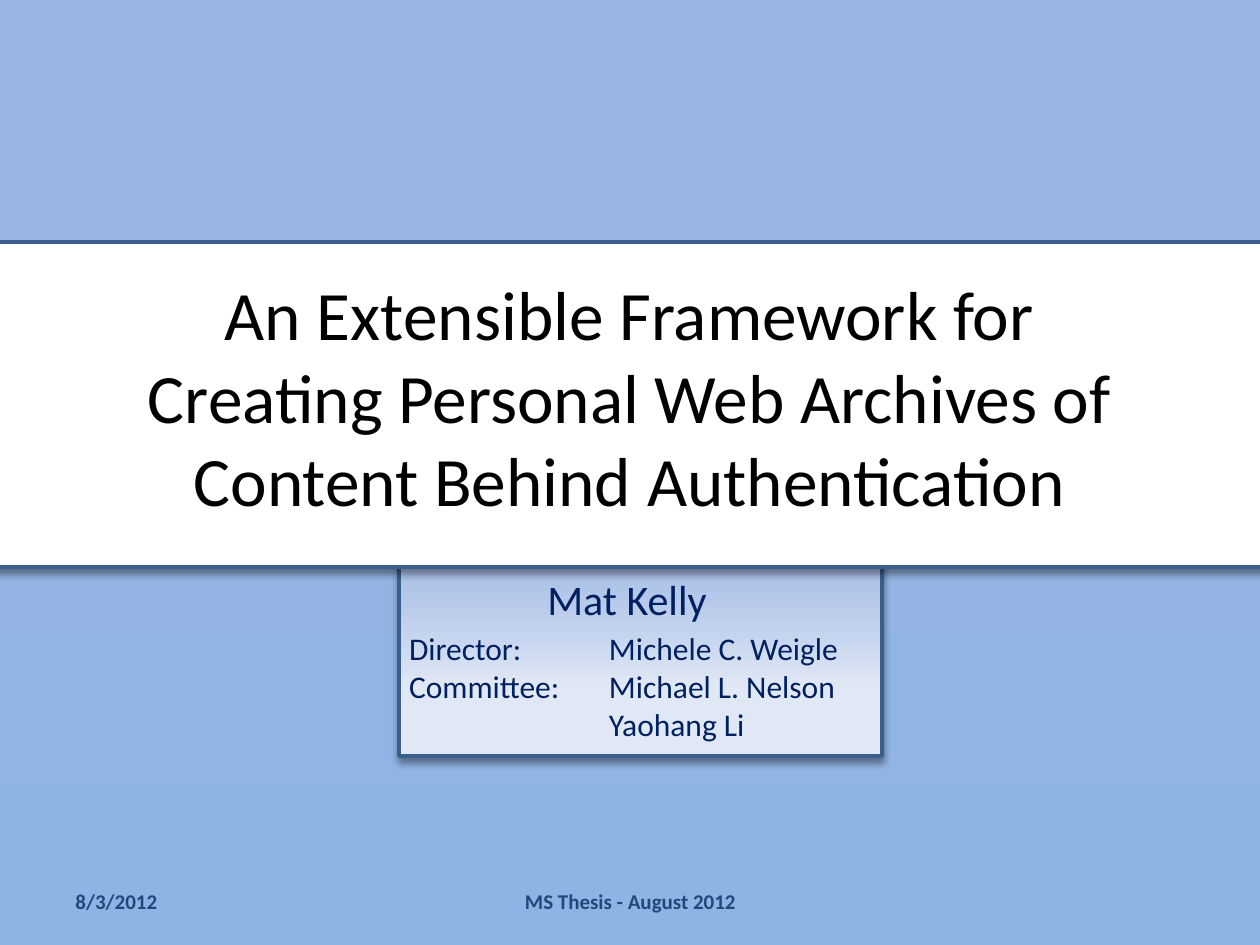
from copy import deepcopy

from lxml import etree
from pptx import Presentation
from pptx.dml.color import RGBColor
from pptx.enum.shapes import MSO_SHAPE
from pptx.enum.text import MSO_ANCHOR, PP_ALIGN
from pptx.oxml.ns import qn
from pptx.util import Pt

RECTANGLE = MSO_SHAPE.RECTANGLE
TOP, MIDDLE = MSO_ANCHOR.TOP, MSO_ANCHOR.MIDDLE
LEFT, CENTER = PP_ALIGN.LEFT, PP_ALIGN.CENTER
EMU_PER_PX = 914400 / 126
FONT = "Calibri"
NAVY, BORDER, FOOTER = "002060", "3A5F8C", "1F497D"
NO_STYLE = "{2D5ABB26-0587-4C30-8999-92F81FD0307C}"
BACKDROP = [(0, "9AB5E4"), (1, "8EB4E3")]
CARD = [(0, "9AB5E4"), (0.42, "C2D1ED"), (0.69, "E1E8F5")]
TITLE = "An Extensible Framework for Creating Personal Web Archives of Content Behind Authentication"
PEOPLE = [
    ("Director:", "Michele C. Weigle"),
    ("Committee:", "Michael L. Nelson"),
    ("", "Yaohang Li"),
]


def px(length):
    """Turn px into EMU."""
    return round(length * EMU_PER_PX)


def rgb(color):
    """Turn a hex string into a colour."""
    return RGBColor.from_string(color)


def paint_gradient(element, fill, stops):
    """Fill from top to bottom with the given colour stops."""
    fill.gradient()
    fill.gradient_angle = 270
    stop_list = element.find(".//" + qn("a:gsLst"))
    while len(stop_list) < len(stops):
        stop_list.append(deepcopy(stop_list[-1]))
    for stop, (position, color) in zip(fill.gradient_stops, stops):
        stop.position = position
        stop.color.rgb = rgb(color)


def add_panel(slide, box):
    """Add a bordered rectangle with a soft shadow below it."""
    panel = slide.shapes.add_shape(RECTANGLE, *map(px, box))
    panel.line.color.rgb = rgb(BORDER)
    panel.line.width = Pt(2)
    panel.shadow.inherit = False
    effects = panel.element.spPr.find(qn("a:effectLst"))
    shadow = etree.SubElement(
        effects, qn("a:outerShdw"), blurRad=str(Pt(4)), dist=str(Pt(3)),
        dir="5400000", algn="t", rotWithShape="0")
    black = etree.SubElement(shadow, qn("a:srgbClr"), val="000000")
    etree.SubElement(black, qn("a:alpha"), val="40000")
    return panel


def write(paragraph, text, size, color, bold=False):
    """Add one styled run to a paragraph."""
    run = paragraph.add_run()
    run.text = text
    run.font.name = FONT
    run.font.size = Pt(size)
    run.font.bold = bold
    run.font.color.rgb = rgb(color)


def add_label(slide, box, text, size, color, align=LEFT, anchor=MIDDLE, bold=False, wrap=True):
    """Add a text box holding one paragraph."""
    frame = slide.shapes.add_textbox(*map(px, box)).text_frame
    frame.word_wrap = wrap
    frame.vertical_anchor = anchor
    frame.paragraphs[0].alignment = align
    write(frame.paragraphs[0], text, size, color, bold)


def add_people(slide, left, top):
    """Add the table of director and committee."""
    widths, row_height = (200, 346), 38
    frame = slide.shapes.add_table(
        len(PEOPLE), len(widths), px(left), px(top),
        px(sum(widths)), px(row_height * len(PEOPLE)))
    frame.element.find(".//" + qn("a:tableStyleId")).text = NO_STYLE
    table = frame.table
    table.first_row = table.horz_banding = False
    for column, width in zip(table.columns, widths):
        column.width = px(width)
    for row, entries in zip(table.rows, PEOPLE):
        row.height = px(row_height)
        for cell, entry in zip(row.cells, entries):
            cell.margin_left = cell.margin_right = 0
            cell.margin_top = cell.margin_bottom = 0
            cell.fill.background()
            if entry:
                write(cell.text_frame.paragraphs[0], entry, 18, NAVY)


def add_author_card(slide, left, top, width, height):
    """Add the card that hangs behind the title band."""
    card = add_panel(slide, (left, top, width, height))
    paint_gradient(card.element, card.fill, CARD)


def add_title_band(slide, left, top, width, height):
    """Add the white band with the thesis title."""
    band = add_panel(slide, (left, top, width, height))
    band.fill.solid()
    band.fill.fore_color.rgb = rgb("FFFFFF")
    add_label(slide, (left + 136, top + 52, 1071, 203), TITLE, 39.6, "000000", CENTER)


def add_author_details(slide, left, top):
    """Add the author's name above the list of people."""
    add_label(slide, (left + 136, top + 32, 186, 63), "Mat Kelly", 24, NAVY, anchor=TOP, wrap=False)
    add_people(slide, left + 10, top + 95)


def add_footer(slide, left, top, height):
    """Add the date and the occasion."""
    add_label(slide, (left, top, 294, height), "8/3/2012", 12, FOOTER, bold=True)
    add_label(slide, (left + 368, top, 399, height), "MS Thesis - August 2012", 12, FOOTER, CENTER, bold=True)


def main():
    """Build the title slide and save it."""
    deck = Presentation()
    deck.slide_width, deck.slide_height = px(1260), px(945)
    slide = deck.slides.add_slide(deck.slide_layouts[6])
    paint_gradient(slide.element, slide.background.fill, BACKDROP)
    add_author_card(slide, 399, 535, 483, 221)
    add_title_band(slide, -42, 242, 1355, 325)
    add_author_details(slide, 399, 535)
    add_footer(slide, 63, 876, 50)
    deck.save("out.pptx")


if __name__ == "__main__":
    main()
